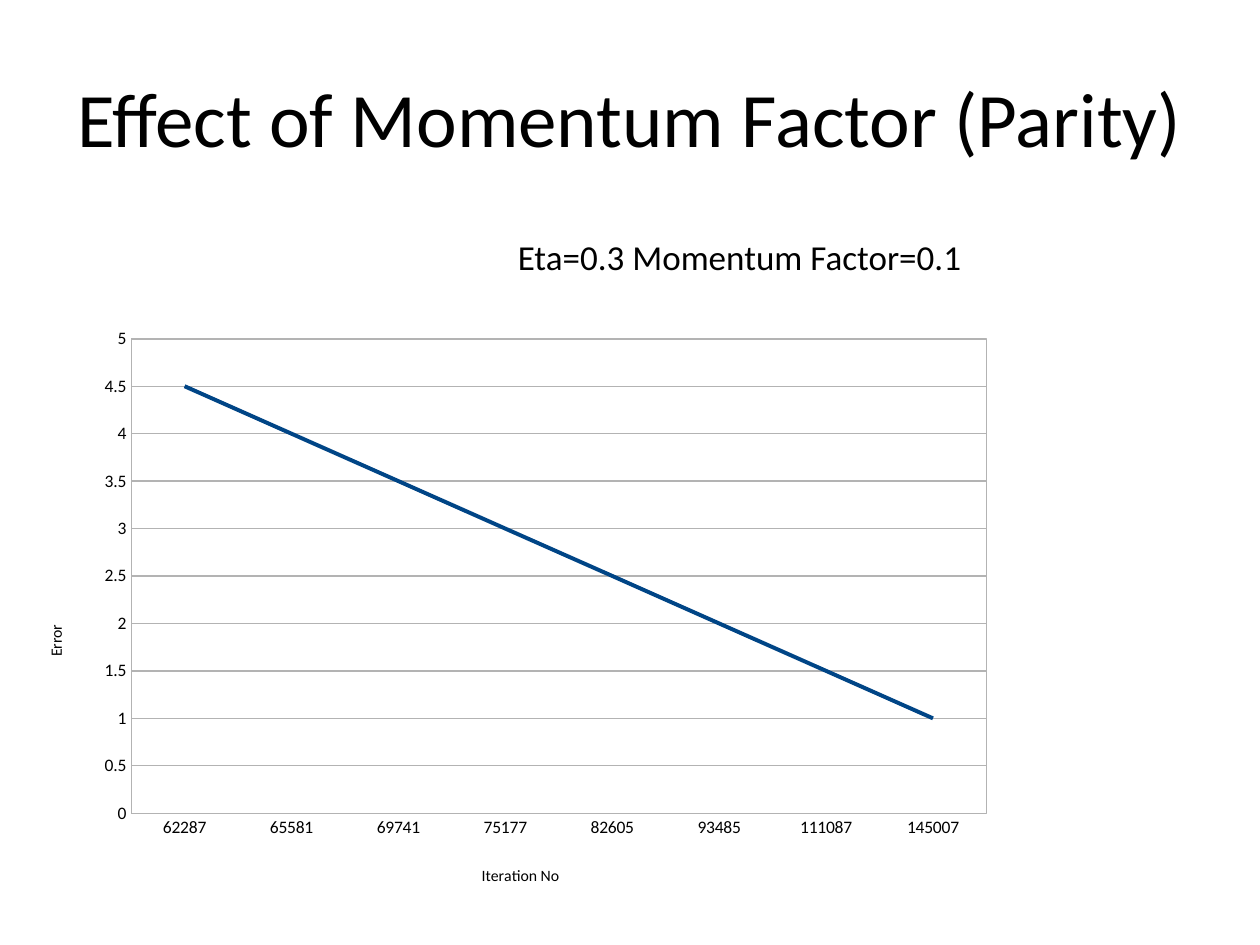
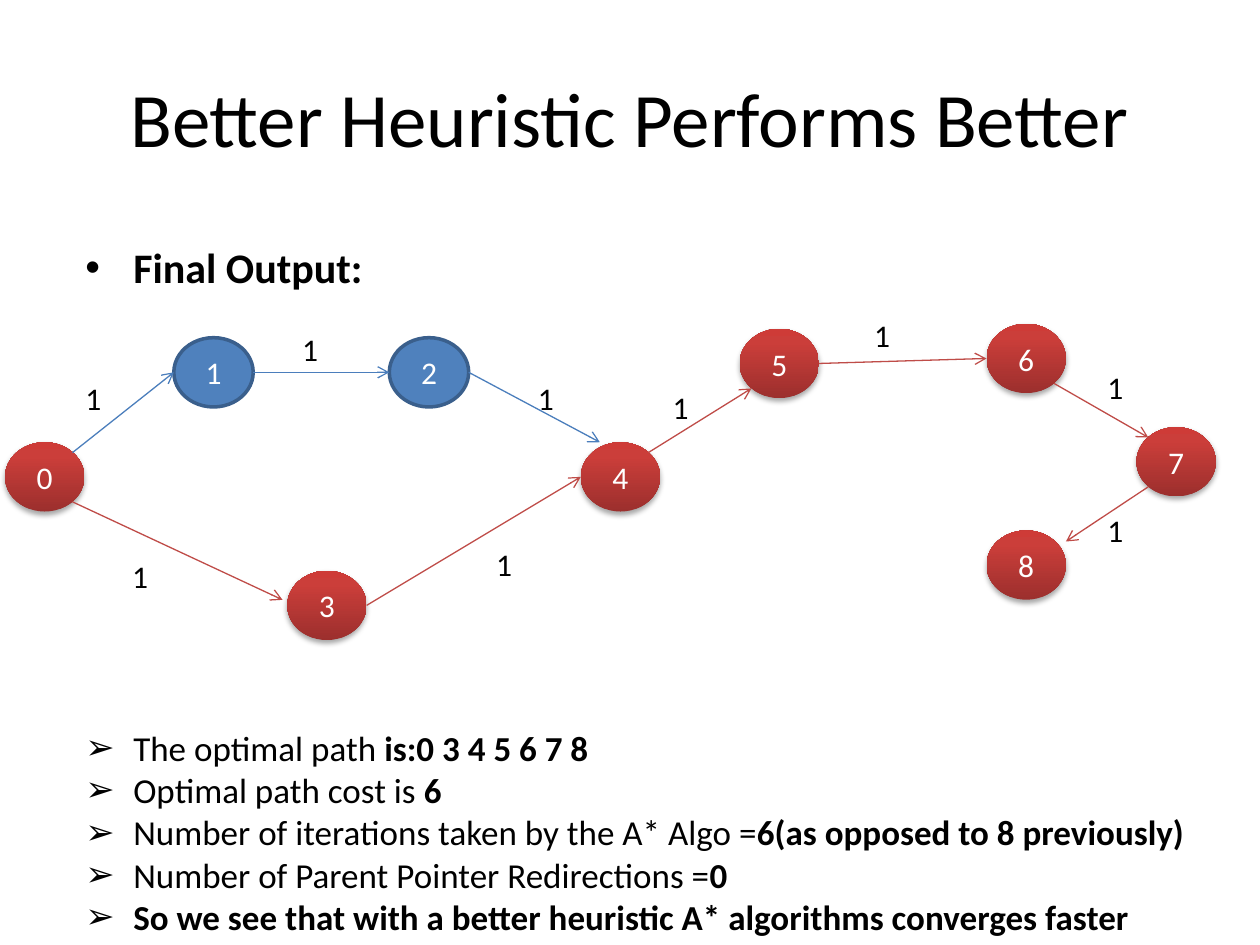
from pptx import Presentation
from pptx.chart.data import CategoryChartData
from pptx.dml.color import RGBColor
from pptx.enum.chart import XL_CHART_TYPE as ChartType, XL_TICK_MARK as Tick
from pptx.enum.shapes import MSO_CONNECTOR as Connector, MSO_SHAPE as Shape
from pptx.enum.text import MSO_ANCHOR as Anchor, PP_ALIGN as Align
from pptx.oxml import parse_xml
from pptx.oxml.ns import nsdecls, qn
from pptx.util import Inches, Pt

FONT = "Calibri"
BLACK, WHITE, GREY = "000000", "FFFFFF", "B3B3B3"
BLUE_FILL, BLUE_EDGE, BLUE_ARROW, RED_ARROW = "4F81BD", "3A5F8C", "4B7EBC", "BF4C48"
SERIES_BLUE = "004586"
RED_STOPS = [(0, "9C2F2D"), (80, "CB3E3A"), (100, "CE3B37")]


def rgb(hex_code):
    return RGBColor.from_string(hex_code)


def write(shape, paragraphs, size, color=BLACK, align=Align.LEFT,
          anchor=Anchor.TOP, bullet=None):
    """Fill a shape with paragraphs, each a list of (text, bold) runs."""
    frame = shape.text_frame
    frame.word_wrap = True
    frame.vertical_anchor = anchor
    for i, runs in enumerate(paragraphs):
        paragraph = frame.add_paragraph() if i else frame.paragraphs[0]
        paragraph.alignment = align
        if bullet:
            props = paragraph._p.get_or_add_pPr()
            props.set("marL", str(Inches(0.38)))
            props.set("indent", str(-Inches(0.38)))
            props.append(parse_xml(f'<a:buFont {nsdecls("a")} typeface="Arial"/>'))
            props.append(parse_xml(f'<a:buChar {nsdecls("a")} char="{bullet}"/>'))
        for text, bold in runs:
            run = paragraph.add_run()
            run.text = text
            run.font.color.rgb = rgb(color)
            for key, value in {"name": FONT, "size": Pt(size), "bold": bold}.items():
                setattr(run.font, key, value)


deck = Presentation()
deck.slide_width, deck.slide_height = Inches(10), Inches(7.5)

slides = []
for title in ("Effect of Momentum Factor (Parity)", "Better Heuristic Performs Better"):
    slide = deck.slides.add_slide(deck.slide_layouts[6])
    heading = slide.shapes.add_textbox(Inches(0.5), Inches(0.3), Inches(9), Inches(1.25))
    write(heading, [[(title, False)]], 44, align=Align.CENTER, anchor=Anchor.MIDDLE)
    slides.append(slide)
momentum, heuristic = slides

# Momentum slide: error against iteration number
settings = momentum.shapes.add_textbox(Inches(3.9), Inches(1.82), Inches(3.94), Inches(0.44))
write(settings, [[("Eta=0.3 Momentum Factor=0.1", False)]], 20, align=Align.CENTER)

errors = CategoryChartData()
errors.categories = ["62287", "65581", "69741", "75177", "82605", "93485", "111087", "145007"]
errors.add_series("Series 1", [4.5, 4, 3.5, 3, 2.5, 2, 1.5, 1])
chart = momentum.shapes.add_chart(ChartType.LINE, Inches(0), Inches(0.92),
                                  Inches(10), Inches(6.58), errors).chart
chart.has_legend = chart.has_title = False
chart.font.name, chart.font.size = FONT, Pt(10)
chart.font.color.rgb = rgb(BLACK)
chart.plots[0].vary_by_categories = False

error_line = chart.plots[0].series[0]
error_line.smooth = False
error_line.format.line.color.rgb = rgb(SERIES_BLUE)
error_line.format.line.width = Pt(2.27)

iteration_axis, error_axis = chart.category_axis, chart.value_axis
for key, value in {"minimum_scale": 0, "maximum_scale": 5, "major_unit": 0.5,
                   "has_major_gridlines": True}.items():
    setattr(error_axis, key, value)
iteration_axis.has_major_gridlines = False
for axis, name in ((iteration_axis, "Iteration No"), (error_axis, "Error")):
    axis.major_tick_mark = axis.minor_tick_mark = Tick.NONE
    axis.tick_labels.font.size = Pt(10)
    run = axis.axis_title.text_frame.paragraphs[0].add_run()
    run.text = name
    run.font.color.rgb = rgb(BLACK)
    for key, value in {"name": FONT, "size": Pt(9), "bold": False}.items():
        setattr(run.font, key, value)
for rule in (iteration_axis, error_axis, error_axis.major_gridlines):
    rule.format.line.color.rgb = rgb(GREY)
    rule.format.line.width = Pt(0.75)

# Places within the chart, as fractions of its size
plot_area = chart._chartSpace.chart.plotArea
for part, index, place in (
    (plot_area, 0, {"x": 0.083, "y": 0.257, "w": 0.7, "h": 0.614}),
    (iteration_axis.axis_title._element, 1, {"x": 0.38, "y": 0.9}),
    (error_axis.axis_title._element, 1, {"x": 0.034, "y": 0.61}),
):
    for old in part.findall(qn("c:layout")):
        part.remove(old)
    modes = "".join(f'<c:{key}Mode val="edge"/>' for key in "xy")
    values = "".join(f'<c:{key} val="{value}"/>' for key, value in place.items())
    target = '<c:layoutTarget val="outer"/>' if part is plot_area else ""
    part.insert(index, parse_xml(
        f'<c:layout {nsdecls("c")}><c:manualLayout>{target}{modes}{values}'
        '</c:manualLayout></c:layout>'))
plot_area.append(parse_xml(
    f'<c:spPr {nsdecls("c", "a")}><a:noFill/><a:ln w="{Pt(0.75)}"><a:solidFill>'
    f'<a:srgbClr val="{GREY}"/></a:solidFill></a:ln></c:spPr>'))

# Heuristic slide: graph with the optimal path in red
NODE_W, NODE_H = 0.63, 0.55
nodes = {0: (0.04, 3.51), 1: (1.38, 2.68), 2: (3.09, 2.68), 3: (2.28, 4.53), 4: (4.61, 3.51),
         5: (5.87, 2.61), 6: (7.83, 2.57), 7: (9.02, 3.39), 8: (7.83, 4.21)}
optimal_path = [0, 3, 4, 5, 6, 7, 8]
stops = "".join(f'<a:gs pos="{pos * 1000}"><a:srgbClr val="{color}"/></a:gs>'
                for pos, color in RED_STOPS)
for number, (x, y) in nodes.items():
    node = heuristic.shapes.add_shape(Shape.OVAL, Inches(x), Inches(y),
                                      Inches(NODE_W), Inches(NODE_H))
    node.shadow.inherit = False
    if number in optimal_path:
        props = node._element.spPr
        props.insert(2, parse_xml(
            f'<a:gradFill {nsdecls("a")} rotWithShape="1"><a:gsLst>{stops}</a:gsLst>'
            '<a:lin ang="16200000" scaled="0"/></a:gradFill>'))
        node.line.fill.background()
        props.find(qn("a:effectLst")).append(parse_xml(
            f'<a:outerShdw {nsdecls("a")} blurRad="{Pt(3.1)}" dist="{Pt(1.8)}" dir="5400000" '
            f'rotWithShape="0"><a:srgbClr val="{BLACK}"><a:alpha val="35000"/></a:srgbClr>'
            '</a:outerShdw>'))
    else:
        node.fill.solid()
        node.fill.fore_color.rgb = rgb(BLUE_FILL)
        node.line.color.rgb = rgb(BLUE_EDGE)
        node.line.width = Pt(2)
    write(node, [[(str(number), False)]], 18, WHITE, Align.CENTER, Anchor.MIDDLE)

# Edges: start node and anchor, end node and anchor, place of the weight.
# Anchors are fractions of a node's width and height.
LEFT, RIGHT = (0, 0.5), (1, 0.5)
TOP_LEFT, TOP_RIGHT = (0.15, 0.15), (0.85, 0.15)
BOTTOM_LEFT, BOTTOM_RIGHT = (0.15, 0.86), (0.85, 0.86)
edges = [
    (0, TOP_RIGHT, 1, LEFT, (0.58, 2.96)),
    (1, RIGHT, 2, LEFT, (2.3, 2.57)),
    (2, RIGHT, 4, (0.24, 0), (4.17, 2.96)),
    (0, BOTTOM_RIGHT, 3, (-0.06, 0.42), (0.95, 4.37)),
    (3, RIGHT, 4, LEFT, (3.84, 4.28)),
    (4, TOP_RIGHT, 5, BOTTOM_LEFT, (5.24, 3.03)),
    (5, RIGHT, 6, LEFT, (6.84, 2.46)),
    (6, BOTTOM_RIGHT, 7, TOP_LEFT, (8.69, 2.87)),
    (7, BOTTOM_LEFT, 8, (1, 0.16), (8.69, 4.01)),
]
for start, start_anchor, end, end_anchor, (weight_x, weight_y) in edges:
    ends = []
    for number, (across, down) in ((start, start_anchor), (end, end_anchor)):
        x, y = nodes[number]
        ends += [Inches(x + across * NODE_W), Inches(y + down * NODE_H)]
    arrow = heuristic.shapes.add_connector(Connector.STRAIGHT, *ends)
    on_path = start in optimal_path and end in optimal_path
    arrow.line.color.rgb = rgb(RED_ARROW if on_path else BLUE_ARROW)
    arrow.line.width = Pt(0.75)
    arrow.line._get_or_add_ln().append(parse_xml(f'<a:tailEnd {nsdecls("a")} type="arrow"/>'))
    arrow._element.spPr.append(parse_xml(f'<a:effectLst {nsdecls("a")}/>'))
    weight = heuristic.shapes.add_textbox(Inches(weight_x), Inches(weight_y),
                                          Inches(0.4), Inches(0.4))
    write(weight, [[("1", False)]], 18)

output = heuristic.shapes.add_textbox(Inches(0.58), Inches(1.87), Inches(5.75), Inches(0.5))
write(output, [[("Final Output:", True)]], 24, bullet="•")

findings = heuristic.shapes.add_textbox(Inches(0.58), Inches(5.72), Inches(9.06), Inches(1.78))
write(findings, [
    [("The optimal path ", False), ("is:0 3 4 5 6 7 8", True)],
    [("Optimal path cost is ", False), ("6", True)],
    [("Number of iterations taken by the A* Algo =", False),
     ("6(as opposed to 8 previously)", True)],
    [("Number of Parent Pointer Redirections =", False), ("0", True)],
    [("So we see that with a better heuristic A* algorithms converges faster", True)],
], 20, bullet="➢")

deck.save("out.pptx")
